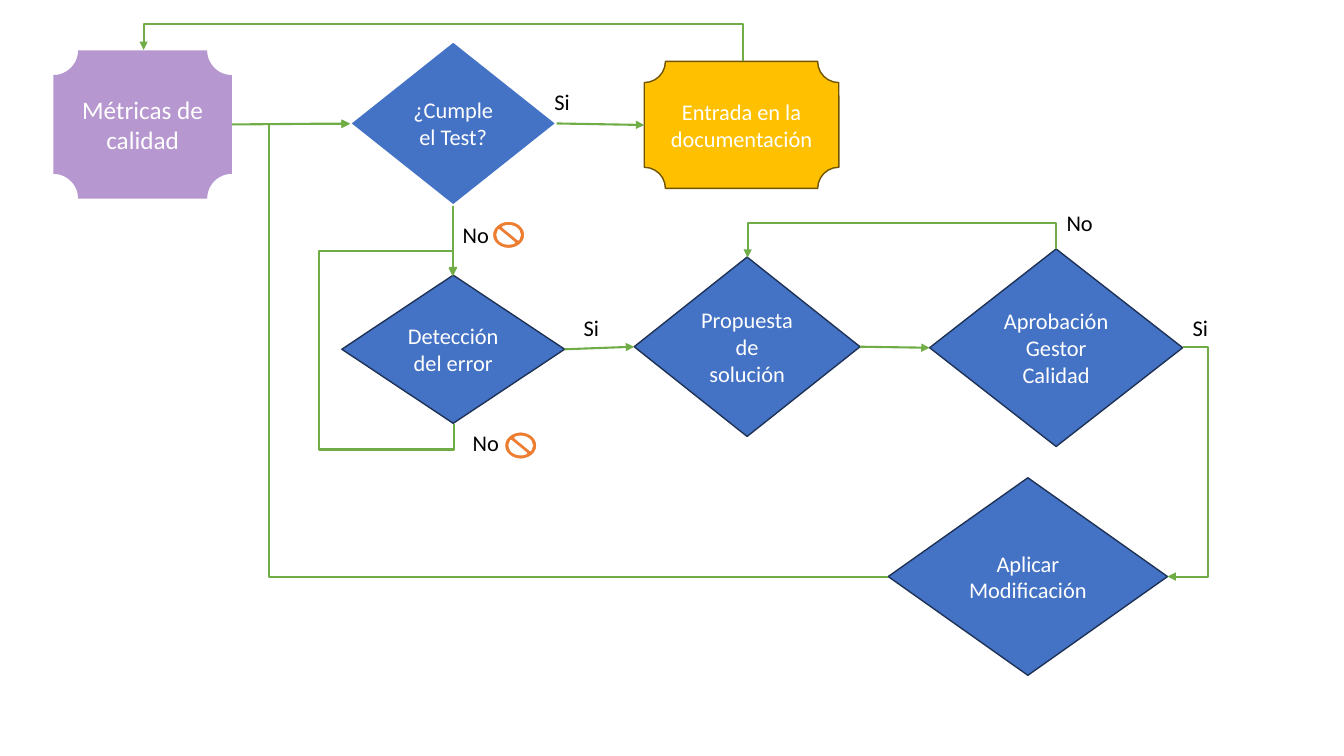
import pptx
import pptx.dml.color
import pptx.enum.shapes
import pptx.enum.text
import pptx.oxml
import pptx.oxml.ns
import pptx.util
from pptx.util import Inches

COLORS = {
    "purple": "7030A0", "blue": "4472C4", "navy": "1E3256", "gold": "FFC000",
    "brown": "705400", "green": "70AD47", "orange": "ED7D31",
    "white": "FFFFFF", "black": "000000",
}
SHAPE = pptx.enum.shapes.MSO_SHAPE
CONNECTOR = pptx.enum.shapes.MSO_CONNECTOR
ALIGN = pptx.enum.text.PP_ALIGN
TOP, LEFT, BOTTOM, RIGHT = range(4)


def write_text(box, text, size=16, color="white", align=ALIGN.CENTER,
               anchor=pptx.enum.text.MSO_ANCHOR.MIDDLE, wrap=True):
    frame = box.text_frame
    frame.word_wrap = wrap
    frame.vertical_anchor = anchor
    para = frame.paragraphs[0]
    para.alignment = align
    span = para.add_run()
    span.text = text
    span.font.name = "Calibri"
    span.font.size = pptx.util.Pt(size)
    span.font.color.rgb = pptx.dml.color.RGBColor.from_string(COLORS[color])


def style_arrow(arrow, head=True):
    arrow.line.color.rgb = pptx.dml.color.RGBColor.from_string(COLORS["green"])
    arrow.line.width = pptx.util.Pt(1.5)
    if head:
        tip = pptx.oxml.xmlchemy.OxmlElement("a:tailEnd")
        tip.set("type", "triangle")
        arrow.line._get_or_add_ln().append(tip)
    properties = arrow._element.spPr
    properties.append(pptx.oxml.xmlchemy.OxmlElement("a:effectLst"))
    return properties


deck = pptx.Presentation()
deck.slide_width = Inches(13.33)
deck.slide_height = Inches(7.5)
page = deck.slides.add_slide(deck.slide_layouts[6])

steps = [
    ("Métricas de calidad", SHAPE.PLAQUE, (0.53, 0.5, 1.77, 1.47), "purple", None, 0, 18),
    ("¿Cumple el Test?", SHAPE.DIAMOND, (3.47, 0.41, 2.05, 1.63), "blue", "white", 1.5, 16),
    ("Detección del error", SHAPE.DIAMOND, (3.39, 2.73, 2.21, 1.47), "blue", "navy", 1, 16),
    ("Entrada en la documentación", SHAPE.PLAQUE, (6.39, 0.61, 1.93, 1.26), "gold", "brown", 1, 16),
    ("Propuesta de solución", SHAPE.FLOWCHART_DECISION, (6.29, 2.55, 2.24, 1.78), "blue", "navy", 1, 16),
    ("Aprobación Gestor Calidad", SHAPE.DIAMOND, (9.22, 2.47, 2.51, 1.96), "blue", "navy", 1, 16),
    ("Aplicar Modificación", SHAPE.DIAMOND, (8.81, 4.74, 2.77, 1.96), "blue", "navy", 1, 16),
    ("", SHAPE.NO_SYMBOL, (4.88, 2.19, 0.33, 0.28), "orange", "white", 1.5, 16),
    ("", SHAPE.NO_SYMBOL, (5, 4.28, 0.33, 0.28), "orange", "white", 1.5, 16),
]
boxes = {}
for text, kind, place, fill, outline, weight, size in steps:
    box = page.shapes.add_shape(kind, *map(Inches, place))
    box.shadow.inherit = False
    box.fill.solid()
    box.fill.fore_color.rgb = pptx.dml.color.RGBColor.from_string(COLORS[fill])
    if outline:
        box.line.color.rgb = pptx.dml.color.RGBColor.from_string(COLORS[outline])
        box.line.width = pptx.util.Pt(weight)
    else:
        box.line.fill.background()
    if text:
        write_text(box, text, size=size)
        boxes[text.split()[0]] = box

tint = boxes["Métricas"]._element.spPr.find(".//" + pptx.oxml.ns.qn("a:srgbClr"))
alpha = pptx.oxml.xmlchemy.OxmlElement("a:alpha")
alpha.set("val", "50000")
tint.append(alpha)

straight_arrows = [
    ("Métricas", RIGHT, "¿Cumple", LEFT),
    ("¿Cumple", RIGHT, "Entrada", LEFT),
    ("¿Cumple", BOTTOM, "Detección", TOP),
    ("Detección", RIGHT, "Propuesta", LEFT),
    ("Propuesta", RIGHT, "Aprobación", LEFT),
]
for source, source_side, target, target_side in straight_arrows:
    arrow = page.shapes.add_connector(CONNECTOR.STRAIGHT, 0, 0, 0, 0)
    arrow.begin_connect(boxes[source], source_side)
    arrow.end_connect(boxes[target], target_side)
    style_arrow(arrow)

bent_arrows = [
    ((4.34, 3.52, 4.45, -2.42), 270, [3.31]),
    ((5.23, 3.47, 3.76, 3.48), 90, [-0.17, 136, 1.17]),
    ((11.73, 3.44, 11.58, 5.72), 0, [-1.67]),
    ((8.99, 4.04, 8.9, 0.98), 270, [-2.85]),
    ((3.47, 1.23, 8.81, 5.72), 180, [1.15]),
]
for ends, rotation, bends in bent_arrows:
    arrow = page.shapes.add_connector(CONNECTOR.ELBOW, *map(Inches, ends))
    properties = style_arrow(arrow)
    properties.find(pptx.oxml.ns.qn("a:xfrm")).set("rot", str(rotation * 60000))
    geometry = properties.find(pptx.oxml.ns.qn("a:prstGeom"))
    geometry.set("prst", f"bentConnector{len(bends) + 2}")
    guides = geometry.find(pptx.oxml.ns.qn("a:avLst"))
    for number, bend in enumerate(bends, 1):
        guide = pptx.oxml.xmlchemy.OxmlElement("a:gd")
        guide.set("name", f"adj{number}")
        guide.set("fmla", f"val {round(bend * 100000)}")
        guides.append(guide)

labels = [
    ("Si", 5.4, 0.83, 0.4, True),
    ("No", 4.49, 2.14, 0.55, True),
    ("Si", 5.69, 3.07, 0.36, False),
    ("No", 4.59, 4.21, 0.47, False),
    ("Si", 11.73, 3.07, 0.36, False),
    ("No", 10.48, 2.03, 0.47, False),
]
for text, left, top, width, wrap in labels:
    box = page.shapes.add_textbox(Inches(left), Inches(top), Inches(width), Inches(0.37))
    write_text(box, text, color="black", align=ALIGN.LEFT,
               anchor=pptx.enum.text.MSO_ANCHOR.TOP, wrap=wrap)
    box.text_frame.auto_size = pptx.enum.text.MSO_AUTO_SIZE.SHAPE_TO_FIT_TEXT

deck.save("out.pptx")
